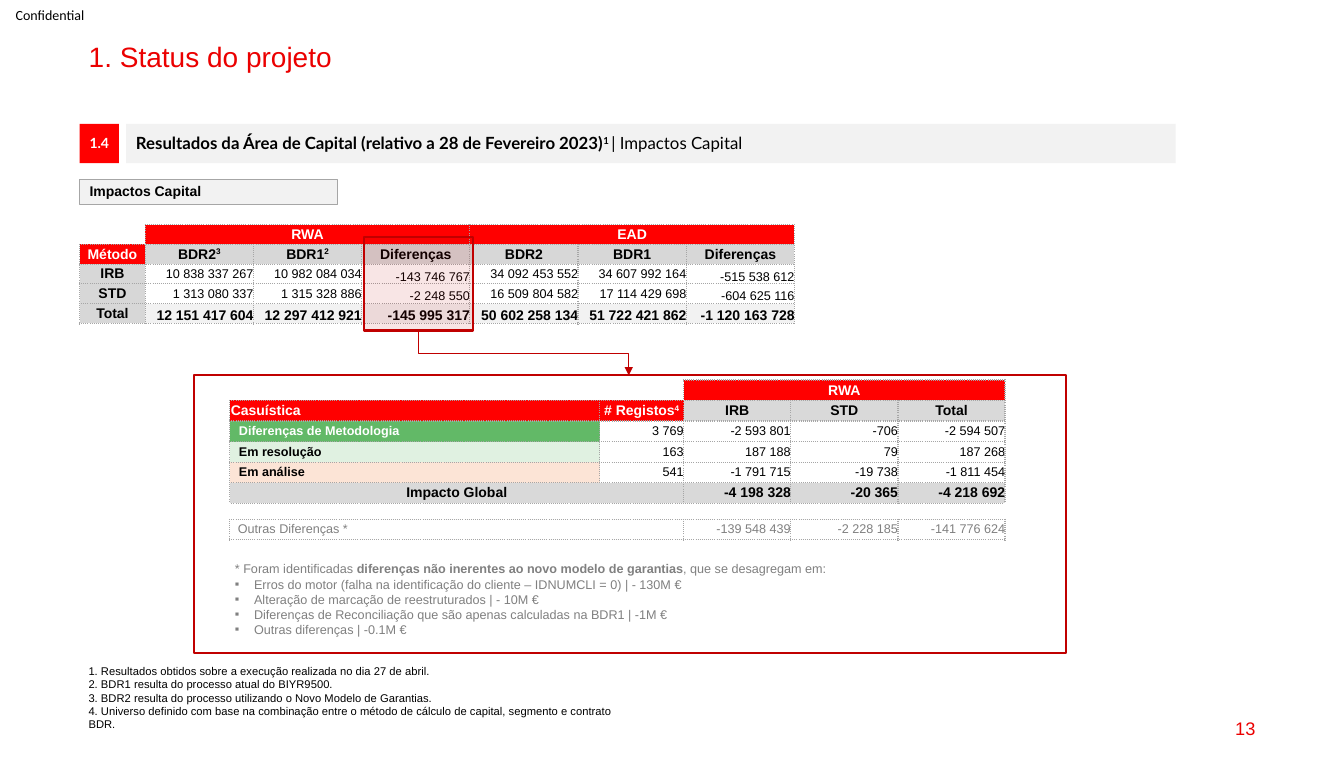
from dataclasses import dataclass

from lxml import etree
from pptx import Presentation
from pptx.dml.color import RGBColor
from pptx.enum.shapes import MSO_CONNECTOR, MSO_SHAPE
from pptx.enum.text import MSO_ANCHOR, MSO_AUTO_SIZE, PP_ALIGN
from pptx.oxml.ns import qn
from pptx.util import Inches, Pt

LEFT, CENTER, RIGHT = PP_ALIGN.LEFT, PP_ALIGN.CENTER, PP_ALIGN.RIGHT
TOP, MIDDLE, BOTTOM = MSO_ANCHOR.TOP, MSO_ANCHOR.MIDDLE, MSO_ANCHOR.BOTTOM
RECT, ELBOW, FIXED = MSO_SHAPE.RECTANGLE, MSO_CONNECTOR.ELBOW, MSO_AUTO_SIZE.NONE

HEX = {"red": "FF0000", "brand": "EB0000", "dark": "C00000", "black": "000000",
       "white": "FFFFFF", "pale": "F2F2F2", "ash": "D7D7D7", "grey": "D9D9D9",
       "edge": "A6A6A6", "dim": "808080", "green": "62B967", "mint": "E0F1E1",
       "peach": "FCE4D6"}


@dataclass
class Look:
    """Style of a table cell."""
    fill: str = ""
    color: str = "black"
    size: int = 9
    bold: bool = False
    align: int = RIGHT
    anchor: int = MIDDLE
    left: float = 0
    sides: str = "LRTB"


LOOKS = {
    "head": Look("red", "white", 10, True, CENTER),
    "lead": Look("red", "white", 10, True, LEFT, left=0.01),
    "ash": Look("ash", size=10, bold=True, align=CENTER),
    "grey": Look("grey", size=10, bold=True, align=CENTER),
    "num": Look("white"),
    "low": Look("white", anchor=BOTTOM),
    "sum": Look("pale", size=10, bold=True, anchor=BOTTOM),
    "plain": Look(),
    "total": Look("grey", size=10, bold=True),
    "green": Look("green", "white", bold=True, align=LEFT, left=0.09),
    "mint": Look("mint", bold=True, align=LEFT, left=0.09),
    "peach": Look("peach", bold=True, align=LEFT, left=0.09),
    "other": Look(color="dim", align=LEFT, left=0.08),
    "dim": Look(color="dim"),
    "bare": Look(sides="B"),
    "side": Look(sides="RB"),
    "gap": Look(sides="TB"),
}

IMPACT = [
    (["", "RWA", "", "", "EAD", "", ""], "bare" + " head" * 6),
    (["Método", "BDR2^3", "BDR1^2", "Diferenças", "BDR2", "BDR1", "Diferenças"],
     "head" + " ash" * 6),
    (["IRB", "10 838 337 267", "10 982 084 034", "-143 746 767",
      "34 092 453 552", "34 607 992 164", "-515 538 612"], "ash" + " num num low" * 2),
    (["STD", "1 313 080 337", "1 315 328 886", "-2 248 550",
      "16 509 804 582", "17 114 429 698", "-604 625 116"], "ash" + " num num low" * 2),
    (["Total", "12 151 417 604", "12 297 412 921", "-145 995 317",
      "50 602 258 134", "51 722 421 862", "-1 120 163 728"], "ash" + " sum" * 6),
]
CAUSES = [
    (["", "", "RWA", "", ""], "bare side" + " head" * 3),
    (["Casuística", "# Registos^4", "IRB", "STD", "Total"], "lead head" + " grey" * 3),
    (["Diferenças de Metodologia", "3 769", "-2 593 801", "-706", "-2 594 507"],
     "green" + " plain" * 4),
    (["Em resolução", "163", "187 188", "79", "187 268"], "mint" + " plain" * 4),
    (["Em análise", "541", "-1 791 715", "-19 738", "-1 811 454"], "peach" + " plain" * 4),
    (["Impacto Global", "", "-4 198 328", "-20 365", "-4 218 692"],
     "grey grey" + " total" * 3),
    ([""] * 5, "gap" + " gap" * 4),
    (["Outras Diferenças *", "", "-139 548 439", "-2 228 185", "-141 776 624"],
     "other other" + " dim" * 3),
]
NOTES = [
    "* Foram identificadas *diferenças não inerentes ao novo modelo de garantias*"
    ", que se desagregam em:",
    "Erros do motor (falha na identificação do cliente – IDNUMCLI = 0) | - 130M €",
    "Alteração de marcação de reestruturados | - 10M €",
    "Diferenças de Reconciliação que são apenas calculadas na BDR1 | -1M €",
    "Outras diferenças | -0.1M €",
]
FOOT = [
    "1. Resultados obtidos sobre a execução realizada no dia 27 de abril.",
    "2. BDR1 resulta do processo atual do BIYR9500.",
    "3. BDR2 resulta do processo utilizando o Novo Modelo de Garantias.",
    "4. Universo definido com base na combinação entre o método de cálculo de capital, "
    "segmento e contrato BDR.",
]


def tint(name):
    """Return the named colour."""
    return RGBColor.from_string(HEX[name])


class Deck:
    """Holds the style and the current slide."""

    def __init__(self, wide, high):
        """Start a deck with one slide."""
        self.prs = Presentation()
        self.prs.slide_width, self.prs.slide_height = Inches(wide), Inches(high)
        self.slide = self.prs.slides.add_slide(self.prs.slide_layouts[1])
        self.shapes = self.slide.shapes

    def style(self, para, size, color="black", bold=False, font="Arial"):
        """Format the runs of a paragraph."""
        for run in para.runs:
            run.font.size, run.font.name, run.font.bold = Pt(size), font, bold
            run.font.color.rgb = tint(color)

    def lift(self, run):
        """Make a run superscript."""
        run.font._element.set("baseline", "30000")

    def put(self, shape, lines, size, color="black", bold=False, font="Arial",
            align=LEFT, anchor=TOP, space=1.0):
        """Put lines of text in a shape."""
        frame = shape.text_frame
        frame.text = "\n".join(lines)
        frame.auto_size, frame.word_wrap, frame.vertical_anchor = FIXED, True, anchor
        for para in frame.paragraphs:
            para.alignment, para.line_spacing, para.space_before = align, space, Pt(0)
            self.style(para, size, color, bold, font)
        return frame

    def move(self, shape, at):
        """Place a shape."""
        shape.left, shape.top, shape.width, shape.height = map(Inches, at)
        return shape

    def text(self, at, lines, size, **look):
        """Add a text box."""
        return self.put(self.shapes.add_textbox(*map(Inches, at)), lines, size, **look)

    def box(self, at, fill="", line="", width=0.75, alpha=100):
        """Add a rectangle."""
        shape = self.shapes.add_shape(RECT, *map(Inches, at))
        shape.shadow.inherit = False
        if fill:
            shape.fill.solid()
            shape.fill.fore_color.rgb = tint(fill)
        else:
            shape.fill.background()
        if alpha < 100:
            color = shape._element.spPr.find(qn("a:solidFill"))[0]
            etree.SubElement(color, qn("a:alpha"), val=str(alpha * 1000))
        if line:
            shape.line.color.rgb, shape.line.width = tint(line), Pt(width)
        else:
            shape.line.fill.background()
        return shape

    def points(self, at, lines, size, color):
        """Fill the body with a lead line and bullets."""
        frame = self.put(self.move(self.slide.placeholders[1], at), lines, size, color)
        for index, para in enumerate(frame.paragraphs):
            props = para._p.get_or_add_pPr()
            indent = Inches(0.19) if index else 0
            props.set("marL", str(indent))
            props.set("indent", str(-indent))
            if index:
                etree.SubElement(props, qn("a:buChar"), char="▪")
            else:
                etree.SubElement(props, qn("a:buNone"))
        return frame

    def cell(self, cell, text, look):
        """Fill and format a table cell."""
        para = cell.text_frame.paragraphs[0]
        base, _, mark = text.partition("^")
        para.text, para.alignment = base, look.align
        if mark:
            run = para.add_run()
            run.text = mark
            self.lift(run)
        self.style(para, look.size, look.color, look.bold)
        if not text:
            etree.SubElement(para._p, qn("a:endParaRPr"), sz="600")
        cell.vertical_anchor, cell.margin_left = look.anchor, Inches(look.left)
        cell.margin_right = cell.margin_top = cell.margin_bottom = 0
        if look.fill:
            cell.fill.solid()
            cell.fill.fore_color.rgb = tint(look.fill)
        else:
            cell.fill.background()
        props = cell._tc.get_or_add_tcPr()
        for index, side in enumerate(look.sides):
            line = etree.Element(qn("a:ln" + side), w=str(Pt(1)))
            solid = etree.SubElement(line, qn("a:solidFill"))
            etree.SubElement(solid, qn("a:srgbClr"), val=HEX["edge"])
            etree.SubElement(line, qn("a:prstDash"), val="sysDot")
            props.insert(index, line)

    def grid(self, at, cols, rows, data, spans):
        """Add a table; spans are row, first and last column."""
        table = self.shapes.add_table(len(rows), len(cols), *map(Inches, at)).table
        table.first_row = table.horz_banding = False
        for col, width in zip(table.columns, cols):
            col.width = Inches(width)
        for row, height, (texts, looks) in zip(table.rows, rows, data):
            row.height = Inches(height)
            for cell, text, look in zip(row.cells, texts, looks.split()):
                self.cell(cell, text, LOOKS[look])
        for row, first, last in spans:
            table.cell(row, first).merge(table.cell(row, last))

    def link(self, start, end, at, color):
        """Join the bottom of one box to the top of another by an elbow arrow."""
        line = self.shapes.add_connector(ELBOW, 0, 0, 0, 0)
        line.begin_connect(start, 2)
        line.end_connect(end, 0)
        self.move(line, at)
        line.line.color.rgb, line.line.width = tint(color), Pt(0.5)
        props = line._element.spPr
        props.xfrm.set("rot", str(270 * 60000))
        props.xfrm.set("flipH", "1")
        props.xfrm.attrib.pop("flipV", None)
        etree.SubElement(props.find(qn("a:ln")), qn("a:tailEnd"), type="triangle")
        etree.SubElement(props, qn("a:effectLst"))


def main():
    """Build the slide."""
    deck = Deck(13.33, 7.76)
    title = deck.move(deck.shapes.title, (0.78, 0.38, 11.77, 0.34))
    deck.put(title, ["1. Status do projeto"], 20, "brand", space=0.9)
    mark = deck.text((0, 0, 0.99, 0.29), ["Confidential"], 10, font="Calibri",
                     align=CENTER, anchor=MIDDLE)
    mark.margin_left = mark.margin_right = mark.margin_top = mark.margin_bottom = 0
    deck.text((9.55, 7.02, 3, 0.41), ["13"], 13, color="brand", align=RIGHT, anchor=MIDDLE)
    panel = deck.box((1.92, 3.72, 8.65, 2.76), line="dark", width=1.5)

    deck.put(deck.box((0.79, 1.23, 0.39, 0.39), "red"), ["1.4"], 10, "white", True,
             "Lato", CENTER, MIDDLE, 0.9).word_wrap = False
    band = deck.put(deck.box((1.25, 1.23, 10.41, 0.39), "pale"),
                    ["Resultados da Área de Capital (relativo a 28 de Fevereiro 2023)"],
                    12, bold=True, font="Lato", anchor=MIDDLE, space=0.9)
    para = band.paragraphs[0]
    for part in ("1 ", "| Impactos Capital"):
        para.add_run().text = part
    deck.style(para, 12, bold=True, font="Lato")
    deck.lift(para.runs[1])
    para.runs[2].font.bold = False
    deck.put(deck.box((0.79, 1.78, 2.56, 0.25), "pale", "edge"), ["Impactos Capital"],
             10, bold=True, anchor=MIDDLE, space=0.9)

    high = (1.59 - 0.16) / 7
    deck.grid((2.28, 3.77, 7.69, 1.59), [3.67, 0.83] + [3.19 / 3] * 3,
              [high] * 6 + [0.16, high], CAUSES,
              [(0, 2, 4), (5, 0, 1), (6, 0, 4), (7, 0, 1)])
    deck.grid((0.79, 2.23, 7.09, 0.98), [0.65] + [6.44 / 6] * 6, [0.98 / 5] * 5, IMPACT,
              [(0, 1, 3), (0, 4, 6)])

    lead, strong, rest = NOTES[0].rsplit("*", 2)
    notes = deck.points((2.23, 5.52, 6.26, 0.86), [lead] + NOTES[1:], 9, "dim")
    first = notes.paragraphs[0]
    for part in (strong, rest):
        first.add_run().text = part
    deck.style(first, 9, "dim")
    first.runs[1].font.bold = True
    deck.text((0.78, 6.54, 5.4, 0.64), FOOT, 8)

    focus = deck.box((3.61, 2.35, 1.08, 0.93), "dark", "dark", 1.5, 10)
    deck.link(focus, panel, (4.97, 2.46, 0.44, 2.09), "dark")
    deck.prs.save("out.pptx")


if __name__ == "__main__":
    main()
